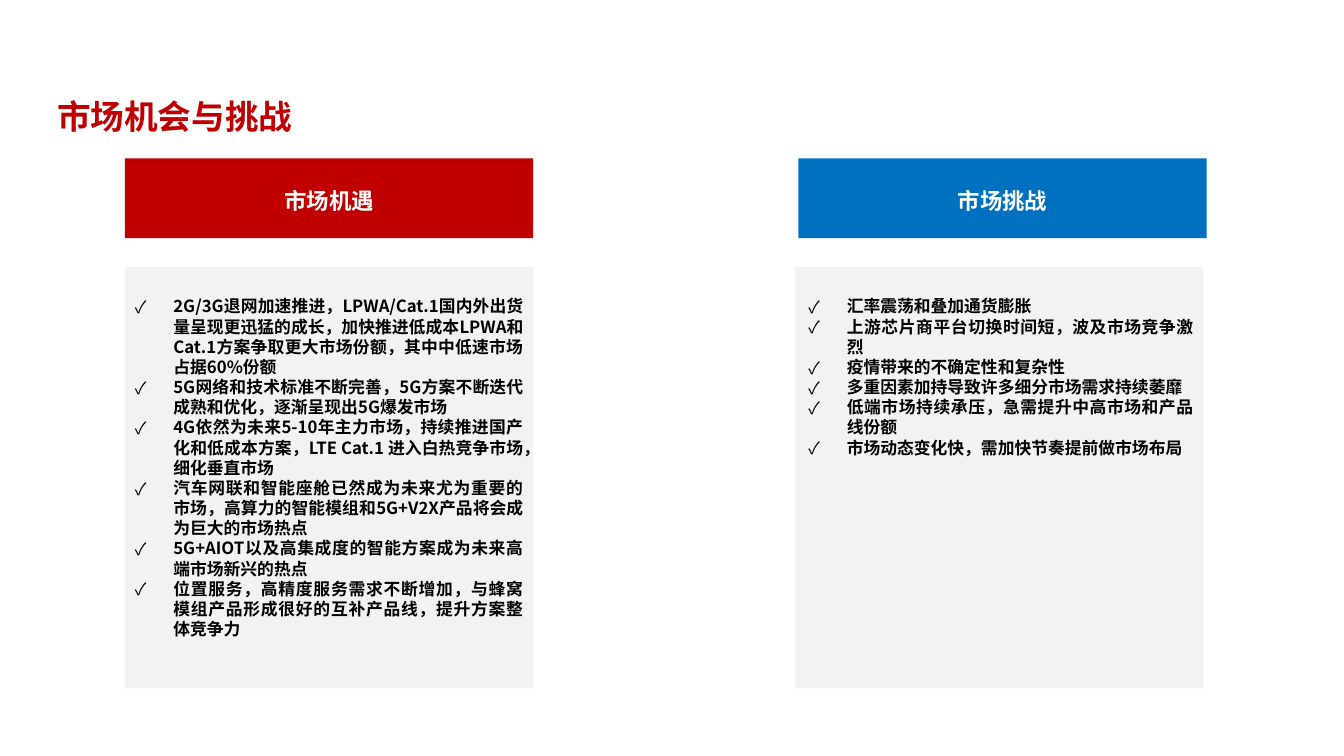
from lxml.etree import SubElement
from pptx import Presentation
from pptx.dml.color import RGBColor
from pptx.enum.shapes import MSO_SHAPE as Shape
from pptx.enum.text import MSO_ANCHOR as Anchor, PP_ALIGN as Align
from pptx.oxml.ns import qn
from pptx.util import Cm, Pt

FONT = "Noto Sans CJK SC"
COLORS = {
    "red": "C00000",
    "blue": "0070C0",
    "panel": "F2F2F2",
    "white": "FFFFFF",
    "black": "000000",
}
OPPORTUNITIES = [
    "2G/3G退网加速推进，LPWA/Cat.1国内外出货量呈现更迅猛的成长，加快推进低成本LPWA和Cat.1方案争取更大市场份额，其中中低速市场占据60%份额",
    "5G网络和技术标准不断完善，5G方案不断迭代成熟和优化，逐渐呈现出5G爆发市场",
    "4G依然为未来5-10年主力市场，持续推进国产化和低成本方案，LTE Cat.1 进入白热竞争市场，细化垂直市场",
    "汽车网联和智能座舱已然成为未来尤为重要的市场，高算力的智能模组和5G+V2X产品将会成为巨大的市场热点",
    "5G+AIOT以及高集成度的智能方案成为未来高端市场新兴的热点",
    "位置服务，高精度服务需求不断增加，与蜂窝模组产品形成很好的互补产品线，提升方案整体竞争力",
]
CHALLENGES = [
    "汇率震荡和叠加通货膨胀",
    "上游芯片商平台切换时间短，波及市场竞争激烈",
    "疫情带来的不确定性和复杂性",
    "多重因素加持导致许多细分市场需求持续萎靡",
    "低端市场持续承压，急需提升中高市场和产品线份额",
    "市场动态变化快，需加快节奏提前做市场布局",
]


def add_rectangle(shapes, left, top, width, height, color):
    shape = shapes.add_shape(Shape.RECTANGLE, left, top, width, height)
    shape.shadow.inherit = False
    shape.fill.solid()
    shape.fill.fore_color.rgb = RGBColor.from_string(COLORS[color])
    shape.line.fill.background()


def add_check_mark(paragraph):
    properties = paragraph._p.get_or_add_pPr()
    properties.set("marL", str(Cm(0.97)))
    properties.set("indent", str(-Cm(0.97)))
    SubElement(properties, qn("a:buFont")).set("typeface", FONT)
    SubElement(properties, qn("a:buChar")).set("char", "✓")


def add_text(shapes, left, top, width, height, lines, size, color,
             align=Align.LEFT, leading=1.2, checked=False):
    text_frame = shapes.add_textbox(left, top, width, height).text_frame
    text_frame.word_wrap = True
    text_frame.vertical_anchor = Anchor.TOP
    text_frame.text = "\n".join(lines)
    for paragraph in text_frame.paragraphs:
        paragraph.alignment = align
        paragraph.line_spacing = Pt(size * leading)
        if checked:
            add_check_mark(paragraph)
        for run in paragraph.runs:
            run.font.size = Pt(size)
            run.font.bold = True
            run.font.color.rgb = RGBColor.from_string(COLORS[color])
            run.font.name = FONT
            east_asian = SubElement(run._r.get_or_add_rPr(), qn("a:ea"))
            east_asian.set("typeface", FONT)


def add_header(slide, left, top, width, height, label, color):
    shapes = slide.shapes.add_group_shape().shapes
    add_rectangle(shapes, left, top, width, height, color)
    label_width, label_height = Cm(4.57), Cm(0.94)
    add_text(shapes, left + (width - label_width) // 2,
             top + (height - label_height) // 2, label_width, label_height,
             [label], 16, "white", Align.CENTER, leading=1.3)


def add_panel(slide, left, top, width, height, points, text_inset, text_height):
    add_rectangle(slide.shapes, left, top, width, height, "panel")
    add_text(slide.shapes, left + text_inset, top + Cm(0.61),
             width - text_inset, text_height, points, 12, "black",
             Align.JUSTIFY, checked=True)


def build_slide(presentation):
    slide = presentation.slides.add_slide(presentation.slide_layouts[6])

    # Title
    add_text(slide.shapes, Cm(1.19), Cm(2.29), Cm(18.21), Cm(1.57),
             ["市场机会与挑战"], 24, "red")

    # Opportunity and challenge columns
    columns = [
        ("市场机遇", "red", 3.15, 3.15, OPPORTUNITIES, 0, 9.5),
        ("市场挑战", "blue", 20.12, 20.04, CHALLENGES, 0.08, 4.88),
    ]
    width = Cm(10.29)
    for label, color, header_left, panel_left, points, inset, text_height in columns:
        add_header(slide, Cm(header_left), Cm(3.99), width, Cm(2.01), label, color)
        add_panel(slide, Cm(panel_left), Cm(6.73), width, Cm(10.62), points,
                  Cm(inset), Cm(text_height))


def main():
    presentation = Presentation()
    presentation.slide_width = Cm(33.87)
    presentation.slide_height = Cm(19.05)
    build_slide(presentation)
    presentation.save("out.pptx")


if __name__ == "__main__":
    main()
